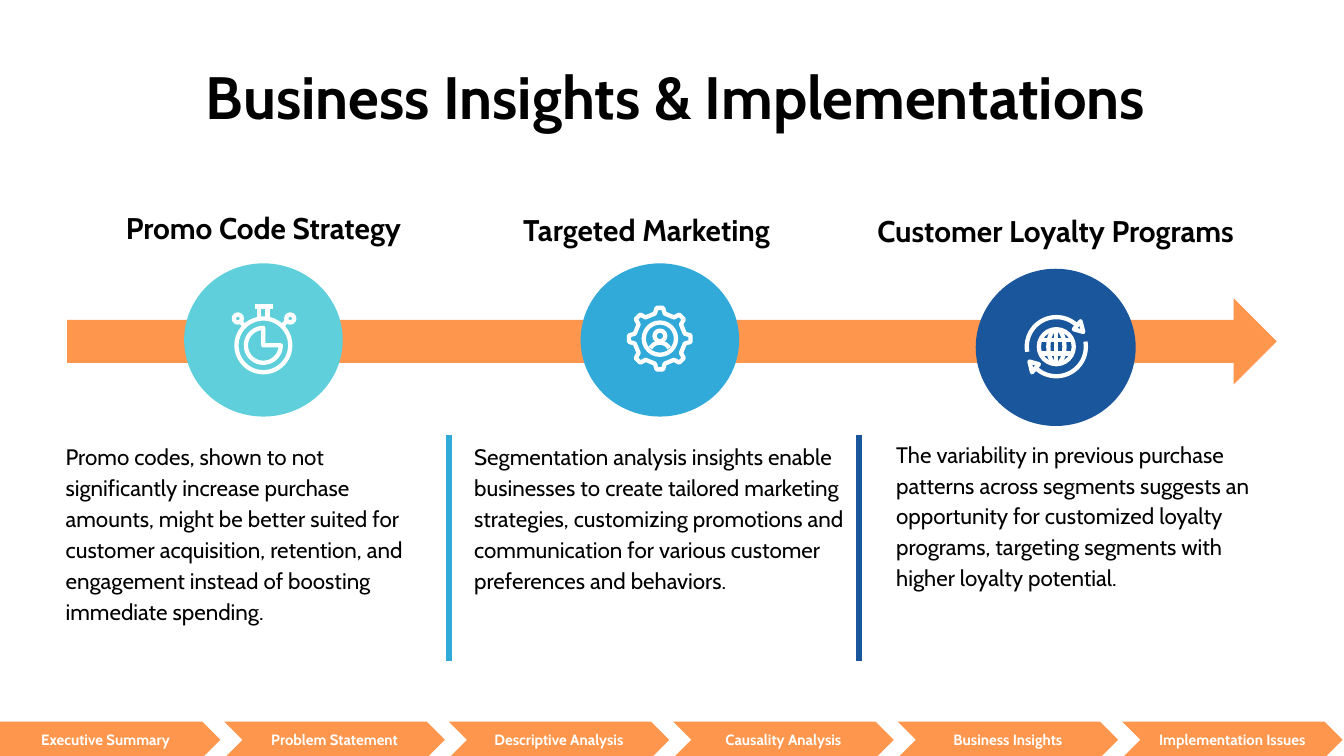
from math import cos, sin, radians
from pptx import Presentation
from pptx.dml.color import RGBColor
from pptx.enum.shapes import MSO_CONNECTOR, MSO_SHAPE
from pptx.enum.text import MSO_ANCHOR, PP_ALIGN
from pptx.oxml.xmlchemy import OxmlElement
from pptx.util import Inches, Pt

HUES = {"orange": "FF964D", "teal": "5FD0DB", "blue": "32AAD9",
        "navy": "1A569C", "white": "FFFFFF", "black": "000000"}
HUES = {name: RGBColor.from_string(code) for name, code in HUES.items()}

# Widescreen page, 16 to 9
deck = Presentation()
deck.slide_width = Inches(10)
deck.slide_height = Inches(10 * 9 / 16)
slide = deck.slides.add_slide(deck.slide_layouts[6])
shapes = slide.shapes


def write(shape, words, size, bold=True, hue="black", pad=0.1, center=True):
    frame = shape.text_frame
    frame.word_wrap = True
    frame.margin_left = frame.margin_right = Inches(pad)
    frame.margin_top = frame.margin_bottom = Inches(pad)
    frame.vertical_anchor = MSO_ANCHOR.MIDDLE if center else MSO_ANCHOR.TOP
    para = frame.paragraphs[0]
    para.alignment = PP_ALIGN.CENTER if center else PP_ALIGN.LEFT
    if not center:
        para.line_spacing = 1.15
    run = para.add_run()
    run.text = words
    run.font.name, run.font.size, run.font.bold = "Cabin", Pt(size), bold
    run.font.color.rgb = HUES[hue]


def solid(kind, box, hue):
    shape = shapes.add_shape(kind, *[Inches(v) for v in box])
    shape.shadow.inherit = False
    shape.fill.solid()
    shape.fill.fore_color.rgb = HUES[hue]
    shape.line.fill.background()
    return shape


# Title
title = shapes.add_textbox(Inches(0.53), Inches(0.45), Inches(9), Inches(0.53))
write(title, "Business Insights & Implementations", 32)

# Arrow and circles
solid(MSO_SHAPE.RIGHT_ARROW, (0.5, 2.22, 9, 0.64), "orange")
for box, hue in [((1.37, 1.96, 1.18, 1.14), "teal"),
                 ((4.32, 1.96, 1.18, 1.14), "blue"),
                 ((7.26, 2, 1.19, 1.17), "navy")]:
    solid(MSO_SHAPE.OVAL, box, hue)

# Headings and body text
columns = [
    ("Promo Code Strategy", (0.57, 1.31, 2.78, 0.77),
     "Promo codes, shown to not significantly increase purchase amounts, "
     "might be better suited for customer acquisition, retention, and "
     "engagement instead of boosting immediate spending.",
     (0.39, 3.17, 2.96, 2.11)),
    ("Targeted Marketing", (3.52, 1.32, 2.58, 0.77),
     "Segmentation analysis insights enable businesses to create tailored "
     "marketing strategies, customizing promotions and communication for "
     "various customer preferences and behaviors.",
     (3.43, 3.17, 2.96, 1.98)),
    ("Customer Loyalty Programs", (6.1, 1.33, 3.51, 0.77),
     "The variability in previous purchase patterns across segments suggests "
     "an opportunity for customized loyalty programs, targeting segments "
     "with higher loyalty potential.",
     (6.57, 3.15, 2.96, 2.03)),
]
for head, top, body, low in columns:
    write(shapes.add_textbox(*[Inches(v) for v in top]), head, 16, pad=0.25)
    write(shapes.add_textbox(*[Inches(v) for v in low]), body, 12,
          bold=False, center=False)

# Icon centres
watch, gear, globe = (1.96, 2.57), (4.91, 2.52), (7.86, 2.58)

# Icon rings: centre x, centre y, radius across, radius down
watch_rings = [(*watch, 0.2, 0.2), (1.77, 2.37, 0.03, 0.03),
               (2.16, 2.37, 0.03, 0.03)]
gear_rings = [(*gear, 0.12, 0.12), (4.91, 2.5, 0.04, 0.04)]
globe_rings = [(*globe, 0.13, 0.13), (*globe, 0.06, 0.13)]

# Icon strokes: points and whether the outline closes
x, y = watch
dial = [(x + 0.13 * cos(radians(a)), y + 0.13 * sin(radians(a)))
        for a in range(0, 271, 10)]
watch_lines = [([watch] + dial, True), ([(1.9, 2.28), (2.03, 2.28)], False)]
for side in (-1, 1):
    watch_lines.append(([(x + side * 0.03, 2.28), (x + side * 0.03, 2.37)], False))
    watch_lines.append(([(x + side * 0.17, 2.39), (x + side * 0.14, 2.43)], False))

x, y = gear
teeth = [(x + r * cos(radians(a + turn)), y + r * sin(radians(a + turn)))
         for a in range(0, 360, 45)
         for r, turn in [(0.19, -11), (0.23, -6), (0.23, 6), (0.19, 11)]]
chest = [(x + 0.08 * cos(radians(a)), 2.63 + 0.08 * sin(radians(a)))
         for a in range(210, 331, 10)]
gear_lines = [(teeth, True), (chest, False)]

x, y = globe
globe_lines = [([(x, y - 0.13), (x, y + 0.13)], False)]
for side in (-1, 1):
    level = y + side * 0.05
    globe_lines.append(([(x - 0.12, level), (x + 0.12, level)], False))
    arc = [(x - side * 0.22 * cos(radians(a)), y - side * 0.22 * sin(radians(a)))
           for a in range(-10, 136, 5)]
    tip = [(x + side * dx, y - side * dy)
           for dx, dy in [(0.18, 0.19), (0.2, 0.11), (0.13, 0.13)]]
    globe_lines += [(arc, False), (tip, True)]

# Draw each icon as a group of white outlines
for rings, lines in [(watch_rings, watch_lines), (gear_rings, gear_lines),
                     (globe_rings, globe_lines)]:
    icon = shapes.add_group_shape().shapes
    parts = [icon.add_shape(MSO_SHAPE.OVAL, Inches(cx - rx), Inches(cy - ry),
                            Inches(2 * rx), Inches(2 * ry))
             for cx, cy, rx, ry in rings]
    for points, closed in lines:
        dots = [(Inches(px), Inches(py)) for px, py in points]
        pen = icon.build_freeform(*dots[0])
        pen.add_line_segments(dots[1:], close=closed)
        parts.append(pen.convert_to_shape())
    for part in parts:
        part.shadow.inherit = False
        part.fill.background()
        part.line.color.rgb = HUES["white"]
        part.line.width = Pt(2.3)

# Column dividers
for x, hue in [(6.39, "navy"), (3.34, "blue")]:
    rule = shapes.add_connector(MSO_CONNECTOR.STRAIGHT, Inches(x), Inches(3.24),
                                Inches(x), Inches(4.92))
    rule.line.color.rgb = HUES[hue]
    rule.line.width = Pt(3)
    rule._element.spPr.append(OxmlElement("a:effectLst"))

# Section bar
steps = ["Executive Summary", "Problem Statement", "Descriptive Analysis",
         "Causality Analysis", "Business Insights", "Implementation Issues"]
for i, step in enumerate(steps):
    kind = MSO_SHAPE.CHEVRON if i else MSO_SHAPE.PENTAGON
    tab = solid(kind, (i * 1.67, 5.37, 1.64, 0.27), "orange")
    write(tab, step, 8, hue="white")

deck.save("out.pptx")
